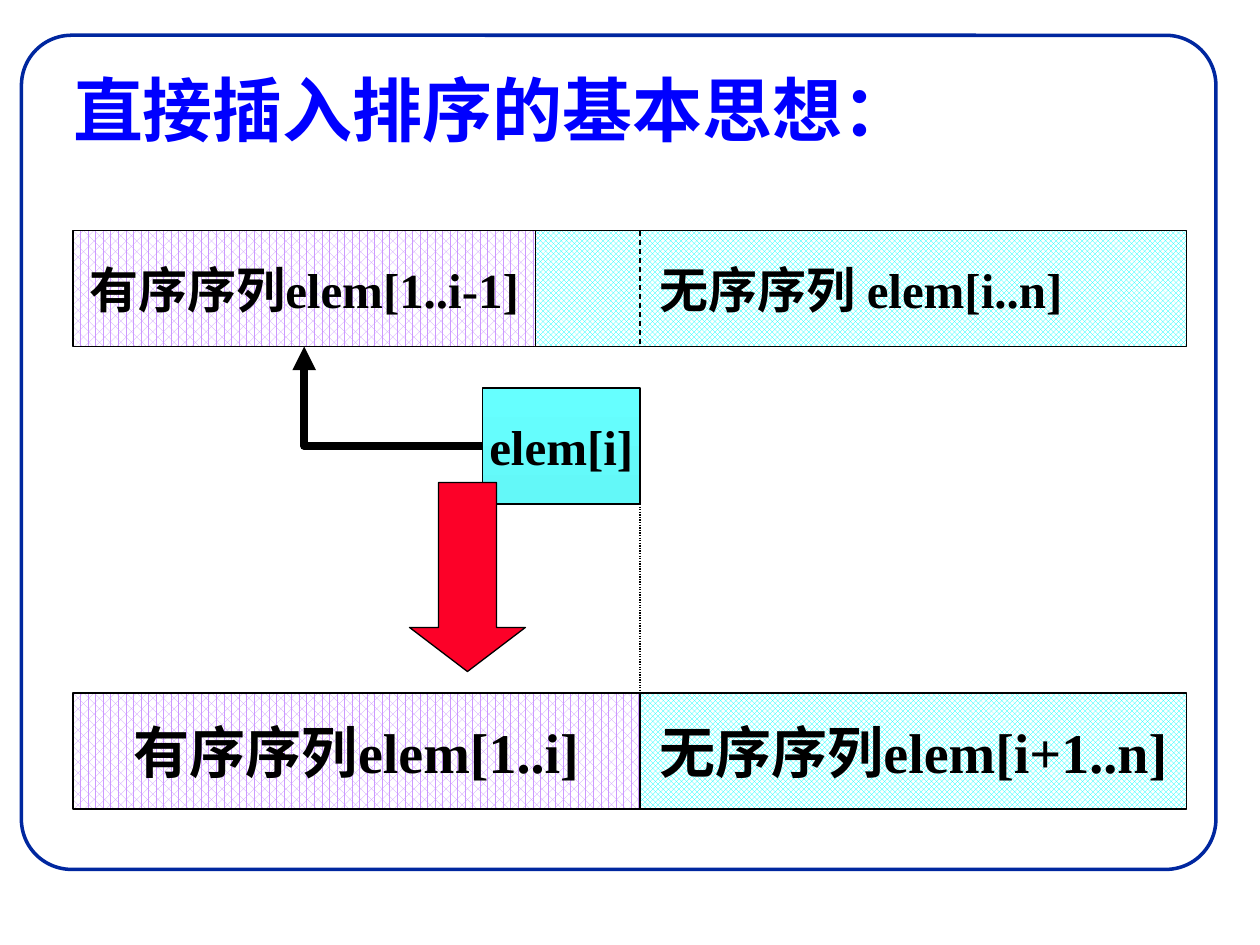
import pptx
import pptx.util
import pptx.dml.color
import pptx.enum.dml
import pptx.enum.shapes
import pptx.enum.text
import pptx.oxml.ns
import lxml.etree

Inches, Pt = pptx.util.Inches, pptx.util.Pt
RGBColor = pptx.dml.color.RGBColor
Shape = pptx.enum.shapes.MSO_SHAPE
Link = pptx.enum.shapes.MSO_CONNECTOR
Dash = pptx.enum.dml.MSO_LINE
Pattern = pptx.enum.dml.MSO_PATTERN
Align = pptx.enum.text.PP_ALIGN
Anchor = pptx.enum.text.MSO_ANCHOR
qn = pptx.oxml.ns.qn

BLACK = RGBColor(0, 0, 0)
WHITE = RGBColor(255, 255, 255)
NAVY = RGBColor(0x00, 0x27, 0x9F)
BLUE = RGBColor(0, 0, 255)
PURPLE = RGBColor(0xCC, 0x99, 0xFF)
CYAN = RGBColor(0, 255, 255)
AQUA = RGBColor(0x66, 0xFF, 0xFF)
TEAL = RGBColor(0x63, 0xF8, 0xF8)
RED = RGBColor(0xFC, 0x01, 0x28)

LEFT, RIGHT = 0.58, 9.42    # ends of both arrays
SPLIT, NEXT = 4.25, 5.08    # sorted part ends here before and after the step
TOP, LOW, HIGH = 1.83, 5.5, 0.92
SORTED = (Pattern.PERCENT_60, PURPLE)
REST = (Pattern.TRELLIS, CYAN)


def add_box(kind, x, y, w, h, text="", size=28):
    box = slide.shapes.add_shape(kind, Inches(x), Inches(y), Inches(w), Inches(h))
    box.shadow.inherit = False
    box.line.color.rgb = BLACK
    box.line.width = Pt(0.75)
    if text:
        frame = box.text_frame
        frame.text = text
        frame.word_wrap = False
        frame.vertical_anchor = Anchor.MIDDLE
        par = frame.paragraphs[0]
        par.alignment = Align.CENTER
        set_font(par.font, size, BLACK)
    return box


def set_font(font, size, color):
    font.name = "Times New Roman"
    font.size = Pt(size)
    font.bold = True
    font.color.rgb = color


deck = pptx.Presentation()
deck.slide_width, deck.slide_height = Inches(10), Inches(7.5)
slide = deck.slides.add_slide(deck.slide_layouts[5])

# Frame and title
frame = add_box(Shape.ROUNDED_RECTANGLE, 0.17, 0.28, 9.48, 6.62)
frame.adjustments[0] = 0.06
frame.fill.background()
frame.line.color.rgb = NAVY
frame.line.width = Pt(2)

title = slide.shapes.title
title.left, title.top = Inches(0.48), Inches(0.48)
title.width, title.height = Inches(6.95), Inches(0.77)
title.text_frame.text = "直接插入排序的基本思想："
title.text_frame.word_wrap = False
title.text_frame.auto_size = pptx.enum.text.MSO_AUTO_SIZE.NONE
title.text_frame.vertical_anchor = Anchor.MIDDLE
head = title.text_frame.paragraphs[0]
head.alignment = Align.LEFT
set_font(head.font, 40, BLUE)

# The array before and after one step
parts = []
for x, end, y, text, size, (pattern, color) in [
    (LEFT, SPLIT, TOP, "有序序列elem[1..i-1]", 28, SORTED),
    (SPLIT, RIGHT, TOP, "无序序列 elem[i..n]", 28, REST),
    (LEFT, NEXT, LOW, "有序序列elem[1..i]", 32, SORTED),
    (NEXT, RIGHT, LOW, "无序序列elem[i+1..n]", 32, REST),
]:
    part = add_box(Shape.RECTANGLE, x, y, end - x, HIGH, text, size)
    part.fill.patterned()
    part.fill.pattern = pattern
    part.fill.fore_color.rgb = color
    part.fill.back_color.rgb = WHITE
    parts.append(part)

# The element being inserted
item = add_box(Shape.RECTANGLE, 3.83, 3.08, 1.25, HIGH, "elem[i]")
item.fill.gradient()
item.fill.gradient_angle = 270
for stop, color in zip(item.fill.gradient_stops, (AQUA, TEAL)):
    stop.color.rgb = color

# Lines: elbow into the sorted part, then the guides at the new split
elbow = slide.shapes.add_connector(Link.ELBOW, 0, 0, 0, 0)
elbow.begin_connect(item, 1)
elbow.end_connect(parts[0], 2)
elbow._element.spPr.find(qn("a:prstGeom")).set("prst", "bentConnector2")
lines = [(elbow, 4.5, Dash.SOLID)]
for y, end, dash in [(TOP, TOP + HIGH, Dash.DASH), (4, LOW, Dash.ROUND_DOT)]:
    guide = slide.shapes.add_connector(
        Link.STRAIGHT, Inches(NEXT), Inches(y), Inches(NEXT), Inches(end))
    lines.append((guide, 0.75, dash))
for line, width, dash in lines:
    line.line.color.rgb = BLACK
    line.line.width = Pt(width)
    line.line.dash_style = dash
    lxml.etree.SubElement(line._element.spPr, qn("a:effectLst"))
tail = lxml.etree.SubElement(elbow.line._get_or_add_ln(), qn("a:tailEnd"))
tail.set("type", "triangle")

# Step arrow
arrow = add_box(Shape.DOWN_ARROW, 3.25, 3.83, 0.92, 1.5)
arrow.adjustments[0] = 0.5
arrow.adjustments[1] = 0.38
arrow.fill.solid()
arrow.fill.fore_color.rgb = RED

deck.save("out.pptx")
